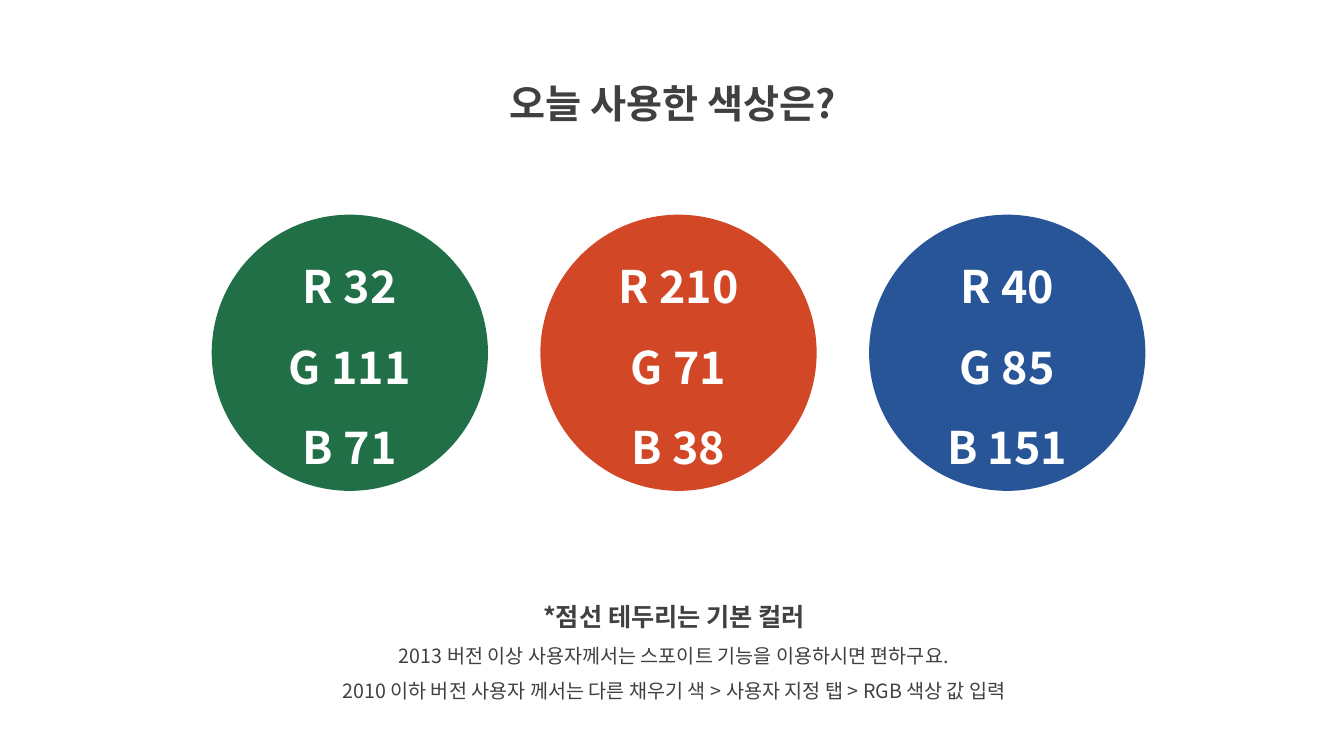
from lxml.etree import SubElement
from pptx import Presentation
from pptx.dml.color import RGBColor
from pptx.enum.shapes import MSO_SHAPE as SHAPE
from pptx.enum.text import MSO_ANCHOR as ANCHOR, MSO_AUTO_SIZE as AUTO, PP_ALIGN as ALIGN
from pptx.oxml.ns import qn
from pptx.util import Emu, Pt

FONT = "Noto Sans CJK KR"
COLORS = {
    "green": "206F47",
    "red": "D24726",
    "blue": "285597",
    "text": "404040",
    "white": "FFFFFF",
}


def px(n):
    """Turn px, at 100 to the inch, into EMU."""
    return Emu(n * 9144)


def rgb(name):
    """Look up a named colour."""
    return RGBColor.from_string(COLORS[name])


def write_lines(tf, lines, color):
    """Fill a text frame with centred (text, size, bold) lines."""
    tf.word_wrap = True
    for i, (text, size, bold) in enumerate(lines):
        p = tf.add_paragraph() if i else tf.paragraphs[0]
        p.text = text
        p.alignment = ALIGN.CENTER
        p.line_spacing = 1.5
        p.font.name = FONT
        p.font.size = Pt(size)
        p.font.bold = bold
        p.font.color.rgb = rgb(color)
        font_xml = p.font._element
        SubElement(font_xml, qn("a:ea"), typeface=FONT)


def add_text(s, left, top, width, height, lines):
    """Add a text box of dark centred lines."""
    tf = s.shapes.add_textbox(px(left), px(top), px(width), px(height)).text_frame
    tf.auto_size = AUTO.SHAPE_TO_FIT_TEXT
    write_lines(tf, lines, "text")


def add_swatch(s, left, top, size, color):
    """Add a circle labelled with the RGB values of its fill."""
    sp = s.shapes.add_shape(SHAPE.OVAL, px(left), px(top), px(size), px(size))
    sp.shadow.inherit = False
    sp.fill.solid()
    sp.fill.fore_color.rgb = rgb(color)
    sp.line.fill.background()
    sp.text_frame.vertical_anchor = ANCHOR.MIDDLE
    labels = [(f"{channel} {value}", 32, True) for channel, value in zip("RGB", rgb(color))]
    write_lines(sp.text_frame, labels, "white")


def main():
    """Build the colour guide slide."""
    prs = Presentation()
    prs.slide_width, prs.slide_height = px(1333), px(750)
    s = prs.slides.add_slide(prs.slide_layouts[6])
    add_text(s, 436, 50, 463, 72, [("오늘 사용한 색상은?", 28, True)])
    add_text(s, 269, 577, 799, 126, [
        ("*점선 테두리는 기본 컬러", 18, True),
        ("2013 버전 이상 사용자께서는 스포이트 기능을 이용하시면 편하구요.", 14, False),
        ("2010 이하 버전 사용자 께서는 다른 채우기 색 > 사용자 지정 탭 > RGB 색상 값 입력", 14, False),
    ])
    for i, color in enumerate(("green", "red", "blue")):
        add_swatch(s, 210 + i * 326, 213, 274, color)
    prs.save("out.pptx")


if __name__ == "__main__":
    main()
